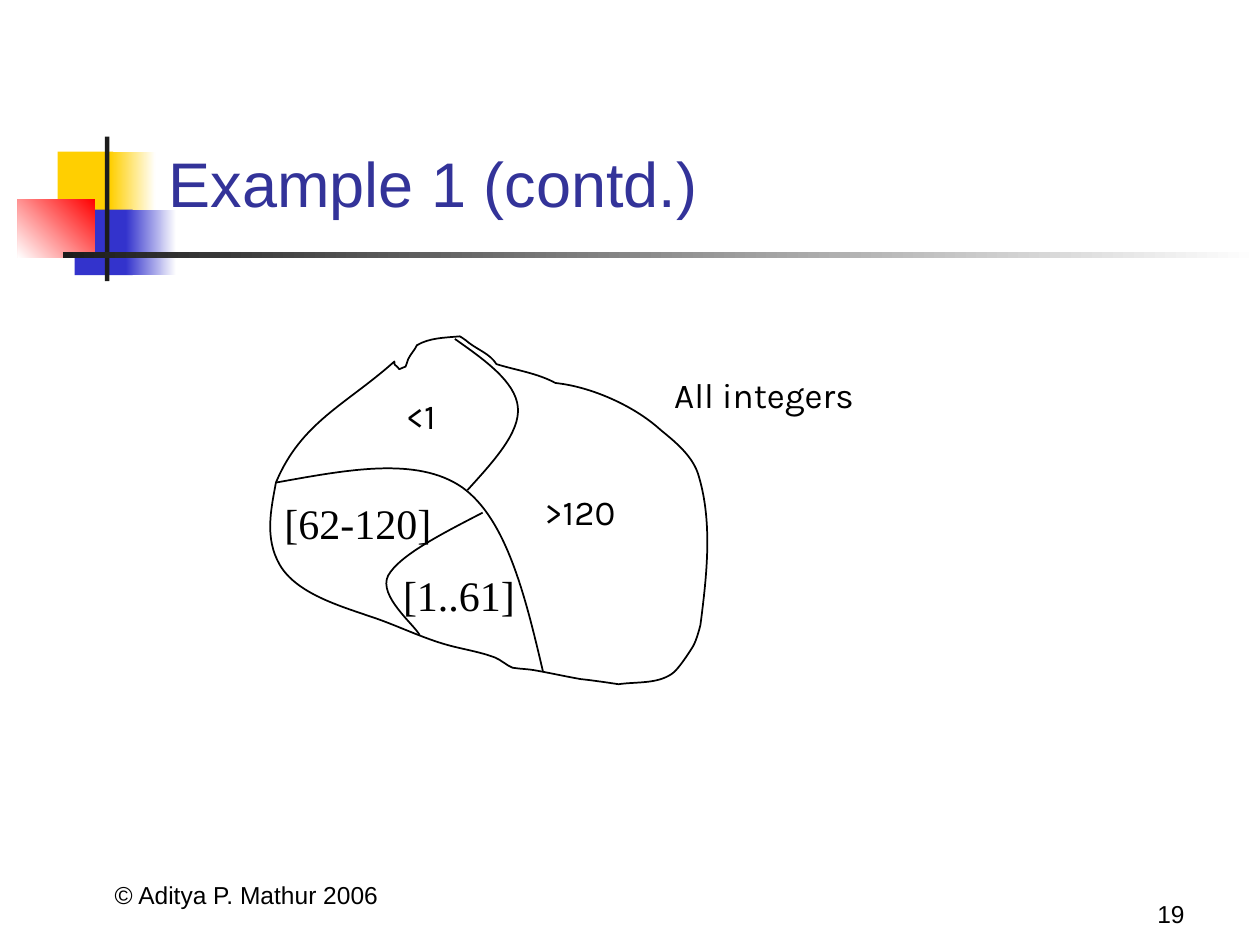
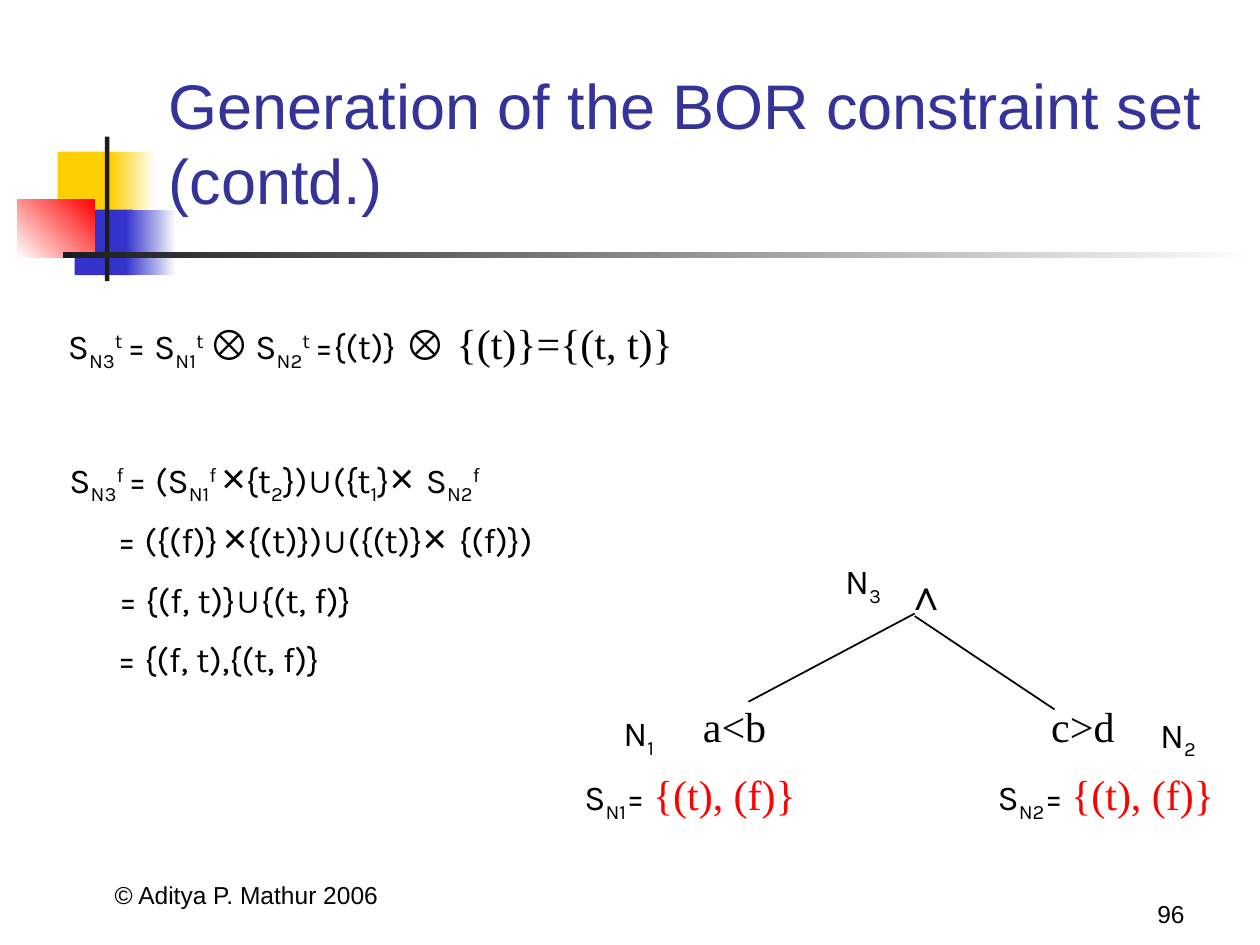
from lxml import etree
from pptx import Presentation
from pptx.dml.color import RGBColor
from pptx.enum.shapes import MSO_CONNECTOR, MSO_SHAPE
from pptx.enum.text import MSO_ANCHOR, MSO_AUTO_SIZE, PP_ALIGN
from pptx.oxml.ns import qn
from pptx.util import Pt

LEFT, CENTER, RIGHT = PP_ALIGN.LEFT, PP_ALIGN.CENTER, PP_ALIGN.RIGHT
TOP, BOTTOM = MSO_ANCHOR.TOP, MSO_ANCHOR.BOTTOM
FIT_BOX, FIXED_BOX = MSO_AUTO_SIZE.SHAPE_TO_FIT_TEXT, MSO_AUTO_SIZE.NONE
RECTANGLE = MSO_SHAPE.RECTANGLE
STRAIGHT = MSO_CONNECTOR.STRAIGHT

THEME = {
    "colors": {
        "ink": RGBColor(0x00, 0x00, 0x00),
        "title": RGBColor(0x33, 0x33, 0x99),
        "yellow": RGBColor(0xFF, 0xCF, 0x01),
        "blue": RGBColor(0x33, 0x33, 0xCC),
        "red": RGBColor(0xFF, 0x00, 0x00),
        "rule": RGBColor(0x1C, 0x1C, 0x1C),
        "white": RGBColor(0xFF, 0xFF, 0xFF),
    },
    # style: font, size, colour, baseline shift in percent
    "styles": {
        "title": ("Arial", 36, "title", 0),
        "footer": ("Arial", 14, "ink", 0),
        "body": ("Karla", 20, "ink", 0),
        "sub": ("Karla", 20, "ink", -25),
        "sup": ("Karla", 20, "ink", 30),
        "union": ("Arial", 20, "ink", 0),
        "operator": ("Arial", 24, "ink", 0),
        "serif": ("Times New Roman", 24, "ink", 0),
        "set": ("Times New Roman", 24, "red", 0),
    },
}
COLORS = THEME["colors"]


def add_text(slide, content, box, style="body", align=LEFT, anchor=TOP, wrap=True, indent=0):
    """Write a string, or a list of (text, style) runs, in a box of left, top, width, height."""
    frame = slide.shapes.add_textbox(*map(Pt, box)).text_frame
    frame.word_wrap = wrap
    frame.auto_size = FIXED_BOX if wrap else FIT_BOX
    frame.vertical_anchor = anchor
    frame.margin_left = Pt(7.2 + indent)
    paragraph = frame.paragraphs[0]
    paragraph.alignment = align
    runs = [(content, style)] if isinstance(content, str) else content
    for text, run_style in runs:
        font_name, size, color, shift = THEME["styles"][run_style]
        run = paragraph.add_run()
        run.text = text
        run.font.name = font_name
        run.font.size = Pt(size)
        run.font.color.rgb = COLORS[color]
        if shift:
            run.font._element.set("baseline", str(shift * 1000))


def add_curve(slide, points, closed=False):
    """Draw chained cubic Bezier curves: a start point, then three points per curve."""
    start, *others = [(Pt(x), Pt(y)) for x, y in points]
    builder = slide.shapes.build_freeform(*start)
    builder.add_line_segments(others, close=closed)
    curve = builder.convert_to_shape()
    segments = list(curve._element.iter(qn("a:lnTo")))
    for i in range(0, len(segments), 3):
        bezier = etree.Element(qn("a:cubicBezTo"))
        segments[i].addprevious(bezier)
        for segment in segments[i:i + 3]:
            bezier.append(segment[0])
            segment.getparent().remove(segment)
    curve.shadow.inherit = False
    curve.fill.background()
    curve.line.color.rgb = COLORS["ink"]
    curve.line.width = Pt(1)


deck = Presentation()
deck.slide_width, deck.slide_height = Pt(720), Pt(540)

# Shared frame: colour, box, and the angle along which it fades to white
ORNAMENTS = [
    ("yellow", (33, 86.6, 31.6, 37.4), None),
    ("yellow", (63, 86.6, 25.9, 37.4), 0),
    ("blue", (42.7, 119.8, 33.1, 37.4), None),
    ("blue", (72, 119.8, 28.8, 37.4), 0),
    ("red", (10.1, 113.8, 44.2, 33.4), 225),
    ("rule", (60, 78.1, 2.5, 82.6), None),
    ("rule", (36, 144, 684, 3.6), 0),
]
PAGES = [
    ("Example 1 (contd.)", 78.5, "19"),
    ("Generation of the BOR constraint set (contd.)", 76.7, "96"),
]
for title, title_top, number in PAGES:
    slide = deck.slides.add_slide(deck.slide_layouts[6])
    for color, box, fade_angle in ORNAMENTS:
        ornament = slide.shapes.add_shape(RECTANGLE, *map(Pt, box))
        ornament.shadow.inherit = False
        ornament.line.fill.background()
        if fade_angle is None:
            ornament.fill.solid()
            ornament.fill.fore_color.rgb = COLORS[color]
        else:
            ornament.fill.gradient()
            ornament.fill.gradient_angle = fade_angle
            for stop, stop_color in zip(ornament.fill.gradient_stops, (color, "white")):
                stop.color.rgb = COLORS[stop_color]
    add_text(slide, "© Aditya P. Mathur 2006", (26.8, 487.4, 228.2, 36),
             style="footer", align=CENTER, anchor=BOTTOM)
    add_text(slide, number, (534.2, 498.2, 149.8, 36),
             style="footer", align=RIGHT, anchor=BOTTOM)
    add_text(slide, title, (89.3, title_top, 613.4, 51.1), style="title", anchor=BOTTOM)

partition, constraints = deck.slides

# Partition of the integers
integers_outline = [
    (225.4, 206.6),
    (198, 231.1), (172.1, 241.2), (157.7, 275.8),
    (154.8, 291.6), (151.2, 307.4), (159.8, 322.6),
    (169.2, 339.1), (194.4, 346.3), (211, 352.1),
    (224.6, 356.4), (239, 363.6), (253.4, 367.9),
    (262.8, 370.8), (273.6, 372.2), (283, 375.8),
    (286.6, 377.3), (289.4, 380.2), (293, 381.6),
    (297.4, 382.3), (301.7, 382.3), (305.3, 383),
    (313.9, 384.5), (323.3, 386.6), (331.9, 388.1),
    (339.1, 388.8), (353.5, 391), (353.5, 391),
    (363.6, 389.5), (375.1, 391), (383.8, 385.2),
    (387.4, 383), (393.8, 373), (396, 369.4),
    (398.2, 365.8), (400.3, 357.1), (400.3, 357.1),
    (403.9, 329), (407.5, 298.1), (398.9, 270.7),
    (395.3, 259.9), (385.2, 252), (377.3, 245.5),
    (362.2, 231.8), (337.7, 221), (317.5, 218.9),
    (306.7, 213.1), (295.2, 211.7), (283.7, 208.1),
    (280.1, 202.3), (273.6, 200.2), (267.8, 195.8),
    (266.4, 194.4), (262.8, 192.2), (262.8, 192.2),
    (254.2, 193), (245.5, 193), (238.3, 197.3),
    (236.9, 200.2), (234.7, 202.3), (233.3, 205.2),
    (232.6, 206.6), (232.6, 208.1), (231.8, 209.5),
    (231.1, 210.2), (229, 210.2), (228.2, 211),
    (225.4, 207.4), (225.4, 209.5), (225.4, 206.6),
]
class_borders = [
    [(157.7, 275.8), (198, 268.6), (238.3, 260.6), (264.2, 278.6),
     (289.4, 296.6), (300.2, 340.6), (310.3, 383.8)],
    [(275.8, 293), (252, 305.3), (228.2, 317.5), (221.8, 329),
     (216, 340.6), (236.9, 357.1), (239.8, 362.9)],
    [(267.1, 280.1), (282.2, 263.5), (297.4, 247), (295.9, 232.6),
     (294.5, 218.2), (277.2, 205.9), (259.9, 193.7)],
]
add_curve(partition, integers_outline, closed=True)
for border in class_borders:
    add_curve(partition, border)

for label, box, style in [
    ("All integers", (378.2, 209.8, 120.2, 31.7), "body"),
    ("<1", (224.8, 221.8, 37.4, 31.7), "body"),
    (">120", (304, 276.5, 59.8, 31.7), "body"),
    ("[62-120]", (155.5, 280.8, 98.2, 36), "serif"),
    ("[1..61]", (223.2, 322.1, 78.5, 36), "serif"),
]:
    add_text(partition, label, box, style=style, wrap=False)

# Derivation of the constraint sets
true_set = [
    ("S", "body"), ("N3", "sub"), ("t ", "sup"), ("= S", "body"), ("N1", "sub"),
    ("t ", "sup"), ("⊗", "operator"), (" ", "sup"), ("S", "body"), ("N2", "sub"),
    ("t ", "sup"), ("={(t)} ", "body"), ("⊗", "operator"), (" {(t)}={(t, t)}", "serif"),
]
false_set = [
    ("S", "body"), ("N3", "sub"), ("f ", "sup"), ("= (S", "body"), ("N1", "sub"),
    ("f ", "sup"), ("×", "operator"), ("{t", "body"), ("2", "sub"), ("})", "body"),
    ("∪", "union"), ("({t", "body"), ("1", "sub"), ("}", "body"), ("× ", "operator"),
    ("S", "body"), ("N2", "sub"), ("f", "sup"),
]
substituted = [
    ("= ({(f)}", "body"), (" ", "sup"), ("×", "operator"), ("{(t)})", "body"),
    ("∪", "union"), ("({(t)}", "body"), ("× ", "operator"), ("{(f)})", "body"),
]
united = [("= {(f, t)}", "body"), ("∪", "union"), ("{(t, f)}", "body")]
STEP_INDENT = 28.3
for formula, box, indent in [
    (true_set, (31.7, 177.8, 517, 38.9), 0),
    (false_set, (32.6, 254.2, 327.6, 38.9), 0),
    (substituted, (31.7, 289, 327.6, 36), STEP_INDENT),
    (united, (32.4, 326.9, 327.6, 31.7), STEP_INDENT),
    ("= {(f, t),{(t, f)}", (31.7, 360.7, 327.6, 31.7), STEP_INDENT),
]:
    add_text(constraints, formula, box, indent=indent)

# Syntax tree
add_text(constraints, "a<b", (394.6, 396.7, 69.1, 36), style="serif")
add_text(constraints, "c>d", (587.5, 396.7, 86.4, 36), style="serif", indent=6)
add_text(constraints, "∧", (510.5, 321.1, 34.6, 36), style="operator")
for branch in [(522.7, 350.6, 427.7, 401), (522.7, 352.1, 602.6, 405.4)]:
    edge = constraints.shapes.add_connector(STRAIGHT, *map(Pt, branch))
    edge.line.color.rgb = COLORS["ink"]
    edge.line.width = Pt(1)
    etree.SubElement(edge._element.spPr, qn("a:effectLst"))

for node, left, top in [("1", 349.2, 403.2), ("2", 655.9, 403.9), ("3", 475.9, 316.1)]:
    add_text(constraints, [("N", "body"), (node, "sub")], (left, top, 36, 34.6), wrap=False)
for node, left in [("N1", 326.9), ("N2", 563)]:
    add_text(constraints,
             [("S", "body"), (node, "sub"), ("= ", "body"), ("{(t), (f)}", "set")],
             (left, 435.6, 139, 38.9), wrap=False)

deck.save("out.pptx")
